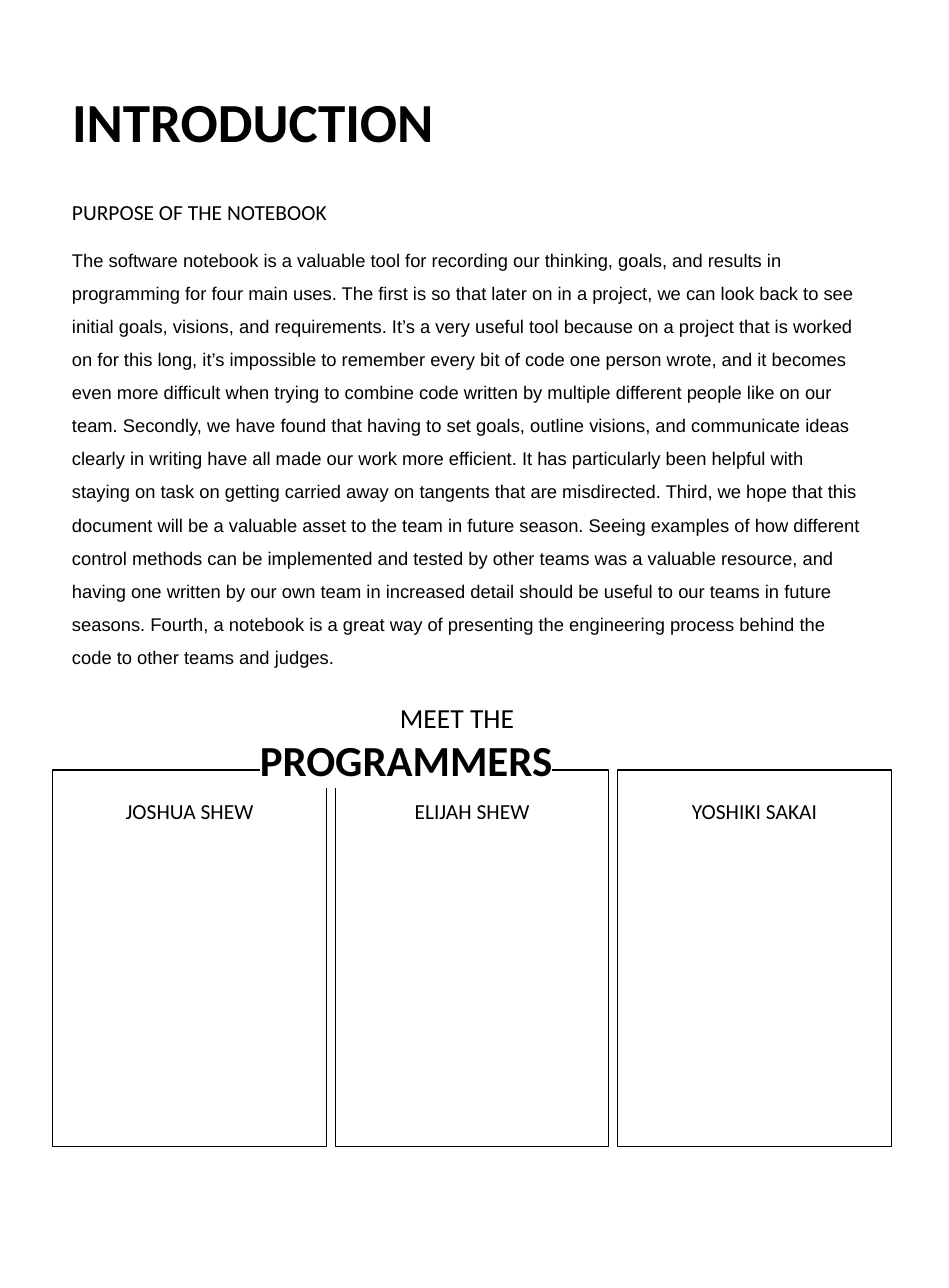
import pptx
import pptx.util
import pptx.dml.color
import pptx.enum.shapes
import pptx.enum.text
import lxml.etree

Cm = pptx.util.Cm
Pt = pptx.util.Pt
Align = pptx.enum.text.PP_ALIGN
Anchor = pptx.enum.text.MSO_ANCHOR
BLACK = pptx.dml.color.RGBColor(0, 0, 0)
WHITE = pptx.dml.color.RGBColor(255, 255, 255)
DRAW = "http://schemas.openxmlformats.org/drawingml/2006/main"

PURPOSE = [
    "The software notebook is a valuable tool for recording our thinking, goals, and results in "
    "programming for four main uses.",
    "The first is so that later on in a project, we can look back to see initial goals, visions, "
    "and requirements.",
    "It’s a very useful tool because on a project that is worked on for this long, it’s impossible "
    "to remember every bit of code one person wrote, and it becomes even more difficult when "
    "trying to combine code written by multiple different people like on our team.",
    "Secondly, we have found that having to set goals, outline visions, and communicate ideas "
    "clearly in writing have all made our work more efficient.",
    "It has particularly been helpful with staying on task on getting carried away on tangents "
    "that are misdirected.",
    "Third, we hope that this document will be a valuable asset to the team in future season.",
    "Seeing examples of how different control methods can be implemented and tested by other teams "
    "was a valuable resource, and having one written by our own team in increased detail should be "
    "useful to our teams in future seasons.",
    "Fourth, a notebook is a great way of presenting the engineering process behind the code to "
    "other teams and judges.",
]
NAMES = ["JOSHUA SHEW", "ELIJAH SHEW", "YOSHIKI SAKAI"]


def set_frame(shape, inset, anchor=Anchor.TOP):
    frame = shape.text_frame
    look = {
        "word_wrap": True,
        "auto_size": pptx.enum.text.MSO_AUTO_SIZE.NONE,
        "vertical_anchor": anchor,
        "margin_left": inset,
        "margin_right": inset,
        "margin_top": inset,
        "margin_bottom": inset,
    }
    for key, value in look.items():
        setattr(frame, key, value)
    return frame


def write(para, text, size, face="Calibri", bold=False, **layout):
    """Add a black run to the paragraph and set the paragraph's layout."""
    run = para.add_run()
    run.text = text
    for key, value in {"size": Pt(size), "name": face, "bold": bold}.items():
        setattr(run.font, key, value)
    run.font.color.rgb = BLACK
    for key, value in layout.items():
        setattr(para, key, value)
    return run


deck = pptx.Presentation()
deck.slide_width = Cm(21.87)
deck.slide_height = Cm(29.69)
slide = deck.slides.add_slide(deck.slide_layouts[5])
shapes = slide.shapes
slide.background.fill.solid()
slide.background.fill.fore_color.rgb = WHITE

# Title
title = shapes.title
place = {"left": Cm(1.3), "top": Cm(1.17), "width": Cm(19.05), "height": Cm(2.72)}
for key, value in place.items():
    setattr(title, key, value)
frame = set_frame(title, Cm(0.36), Anchor.BOTTOM)
write(frame.paragraphs[0], "INTRODUCTION", 36, bold=True, alignment=Align.LEFT)

# Purpose
body = shapes.add_textbox(Cm(1.3), Cm(3.94), Cm(19.05), Cm(11.18))
frame = set_frame(body, Cm(0.36))
write(frame.paragraphs[0], "PURPOSE OF THE NOTEBOOK", 14, line_spacing=1.5, space_after=Pt(8.6))
write(frame.add_paragraph(), " ".join(PURPOSE), 12, "Arial", line_spacing=1.5)

# One box for each programmer
for i, name in enumerate(NAMES):
    box = shapes.add_shape(
        pptx.enum.shapes.MSO_SHAPE.RECTANGLE,
        Cm(1.22 + 6.51 * i), Cm(17.75), Cm(6.3), Cm(8.69),
    )
    box.shadow.inherit = False
    box.fill.background()
    box.line.color.rgb = BLACK
    box.line.width = Pt(0.75)
    frame = set_frame(box, Cm(0.36))
    write(frame.paragraphs[0], name, 14, alignment=Align.CENTER, line_spacing=1.5)

# Heading over the boxes, with a white highlight that hides their edges
head = shapes.add_textbox(Cm(5.74), Cm(15.9), Cm(9.73), Cm(2.13))
frame = set_frame(head, Cm(0.25))
runs = [
    write(frame.paragraphs[0], "MEET THE ", 18, alignment=Align.CENTER),
    write(frame.add_paragraph(), "PROGRAMMERS", 28, bold=True, alignment=Align.LEFT),
]
for run in runs:
    mark = lxml.etree.Element(f"{{{DRAW}}}highlight")
    lxml.etree.SubElement(mark, f"{{{DRAW}}}srgbClr", val=str(WHITE))
    run._r.get_or_add_rPr().find(f"{{{DRAW}}}solidFill").addnext(mark)

deck.save("out.pptx")
